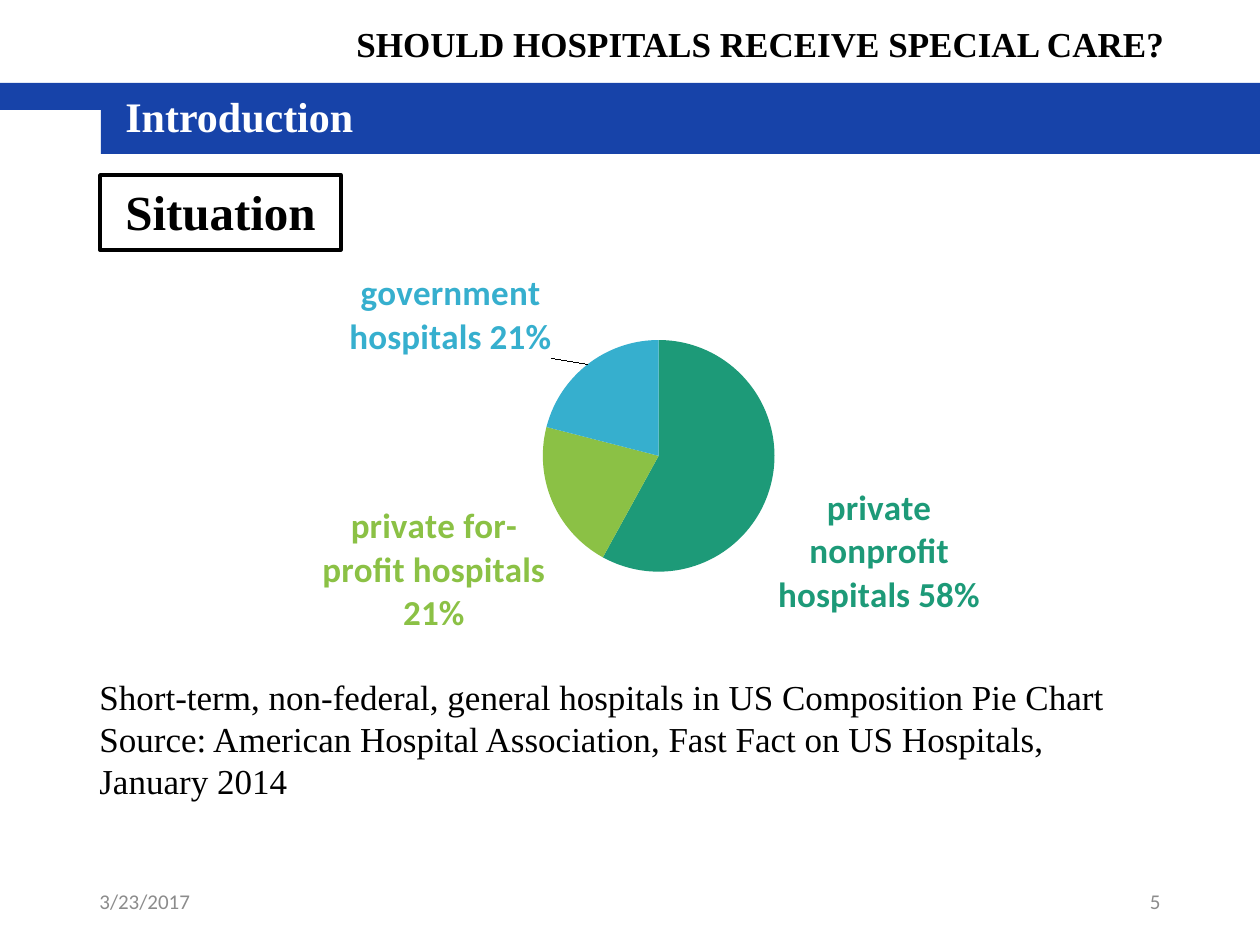
from dataclasses import dataclass

from lxml.etree import SubElement
from pptx import Presentation
from pptx.chart.data import CategoryChartData
from pptx.dml.color import RGBColor
from pptx.enum.chart import XL_CHART_TYPE, XL_LABEL_POSITION
from pptx.enum.shapes import MSO_SHAPE
from pptx.enum.text import MSO_ANCHOR, PP_ALIGN
from pptx.oxml.ns import qn
from pptx.util import Emu, Pt

PIXEL = 914400 // 126


@dataclass(frozen=True)
class Theme:
    blue: str = "1743A9"
    black: str = "000000"
    white: str = "FFFFFF"
    grey: str = "8C8C8C"
    serif: str = "Times New Roman"
    sans: str = "Calibri"
    situation_size: int = 28
    section_size: int = 24
    body_size: int = 20
    footer_size: int = 12


THEME = Theme()

# Content: box is left, top, width, height in px
BARS = [(101, 100, 1159, 54), (0, 83, 1260, 27)]
HEADER = "SHOULD HOSPITALS RECEIVE SPECIAL CARE?"
SECTION = "Introduction"
TOPIC = "Situation"
CAPTION = [
    "Short-term, non-federal, general hospitals in US Composition Pie Chart",
    "Source: American Hospital Association, Fast Fact on US Hospitals, January 2014",
]
DATE, PAGE_NUMBER = "3/23/2017", "5"

# Category, value, colour, label shift in px
SLICES = [
    ("private nonprofit hospitals 58%", 58, "1D9A78", (0, 0)),
    ("private for-profit hospitals 21%", 21, "8BC145", (0, 0)),
    ("government hospitals 21%", 21, "36AFCE", (-32, 0)),
]
CHART_BOX = (67, 251, 1125, 445)
PIE_BOX = (543, 340, 232, 232)


def place(box):
    return [Emu(length * PIXEL) for length in box]


def rgb(colour):
    return RGBColor.from_string(colour)


def set_font(font, name, size, colour, bold=False):
    font.name, font.size, font.bold = name, Pt(size), bold
    font.color.rgb = rgb(colour)


def write(shape, lines, size, colour=THEME.black, bold=False, name=THEME.serif,
          align=PP_ALIGN.LEFT, anchor=MSO_ANCHOR.TOP):
    frame = shape.text_frame
    frame.word_wrap = True
    frame.vertical_anchor = anchor
    frame.text = "\n".join(lines)
    for para in frame.paragraphs:
        para.alignment = align
        set_font(para.font, name, size, colour, bold)


def add_text(page, box, lines, size, **style):
    write(page.shapes.add_textbox(*place(box)), lines, size, **style)


def add_box(page, box, fill):
    shape = page.shapes.add_shape(MSO_SHAPE.RECTANGLE, *place(box))
    shape.shadow.inherit = False
    shape.fill.solid()
    shape.fill.fore_color.rgb = rgb(fill)
    shape.line.fill.background()
    return shape


def fill_layout(layout, **values):
    manual = SubElement(layout, qn("c:manualLayout"))
    for tag, value in values.items():
        SubElement(manual, qn(f"c:{tag}")).set("val", str(value))


def add_pie(page):
    data = CategoryChartData()
    data.categories = [name for name, *_ in SLICES]
    data.add_series("Series 1", [value for _, value, *_ in SLICES])
    chart = page.shapes.add_chart(XL_CHART_TYPE.PIE, *place(CHART_BOX), data).chart
    chart.has_legend = chart.has_title = False
    set_font(chart.font, THEME.sans, 10, THEME.black)
    plot = chart.plots[0]
    plot.vary_by_categories = True

    # Pie circle inside the chart frame
    left, top, width, height = CHART_BOX
    pie_left, pie_top, pie_width, pie_height = PIE_BOX
    area = chart.element.find(".//" + qn("c:plotArea"))
    layout = area.find(qn("c:layout"))
    if layout is None:
        layout = SubElement(area, qn("c:layout"))
        area.insert(0, layout)
    fill_layout(layout, layoutTarget="inner", xMode="edge", yMode="edge",
                x=round((pie_left - left) / width, 3),
                y=round((pie_top - top) / height, 3),
                w=round(pie_width / width, 3), h=round(pie_height / height, 3))

    # Slice colours and category labels
    for index, (_, _, colour, _) in enumerate(SLICES):
        point = plot.series[0].points[index]
        point.format.fill.solid()
        point.format.fill.fore_color.rgb = rgb(colour)
        point.format.line.fill.background()
        label = point.data_label
        set_font(label.font, THEME.sans, THEME.body_size, colour, bold=True)
        label.position = XL_LABEL_POSITION.OUTSIDE_END
    labels = chart.element.findall(".//" + qn("c:dLbl"))
    for label, (*_, (shift_x, shift_y)) in zip(labels, SLICES):
        label.find(qn("c:showVal")).set("val", "0")
        label.find(qn("c:showCatName")).set("val", "1")
        if shift_x or shift_y:
            layout = SubElement(label, qn("c:layout"))
            label.insert(1, layout)
            fill_layout(layout, x=round(shift_x / width, 3),
                        y=round(shift_y / height, 3))


def main():
    deck = Presentation()
    deck.slide_width, deck.slide_height = place((1260, 945))
    page = deck.slides.add_slide(deck.slide_layouts[6])

    # Header and section band
    add_text(page, (344, 16, 1027, 55), [HEADER], THEME.body_size, bold=True)
    for bar in BARS:
        add_box(page, bar, THEME.blue)
    add_text(page, (113, 84, 307, 63), [SECTION], THEME.section_size,
             colour=THEME.white, bold=True)

    # Footer
    footer = dict(colour=THEME.grey, name=THEME.sans, anchor=MSO_ANCHOR.MIDDLE)
    add_text(page, (87, 876, 284, 50), [DATE], THEME.footer_size, **footer)
    add_text(page, (889, 876, 284, 50), [PAGE_NUMBER], THEME.footer_size,
             align=PP_ALIGN.RIGHT, **footer)

    # Chart and its caption
    add_pie(page)
    add_text(page, (87, 669, 1086, 140), CAPTION, THEME.body_size)

    # Topic box
    topic = add_box(page, (100, 175, 241, 75), THEME.white)
    topic.line.color.rgb = rgb(THEME.black)
    topic.line.width = Pt(2)
    write(topic, [TOPIC], THEME.situation_size, bold=True, align=PP_ALIGN.CENTER)

    deck.save("out.pptx")


if __name__ == "__main__":
    main()
